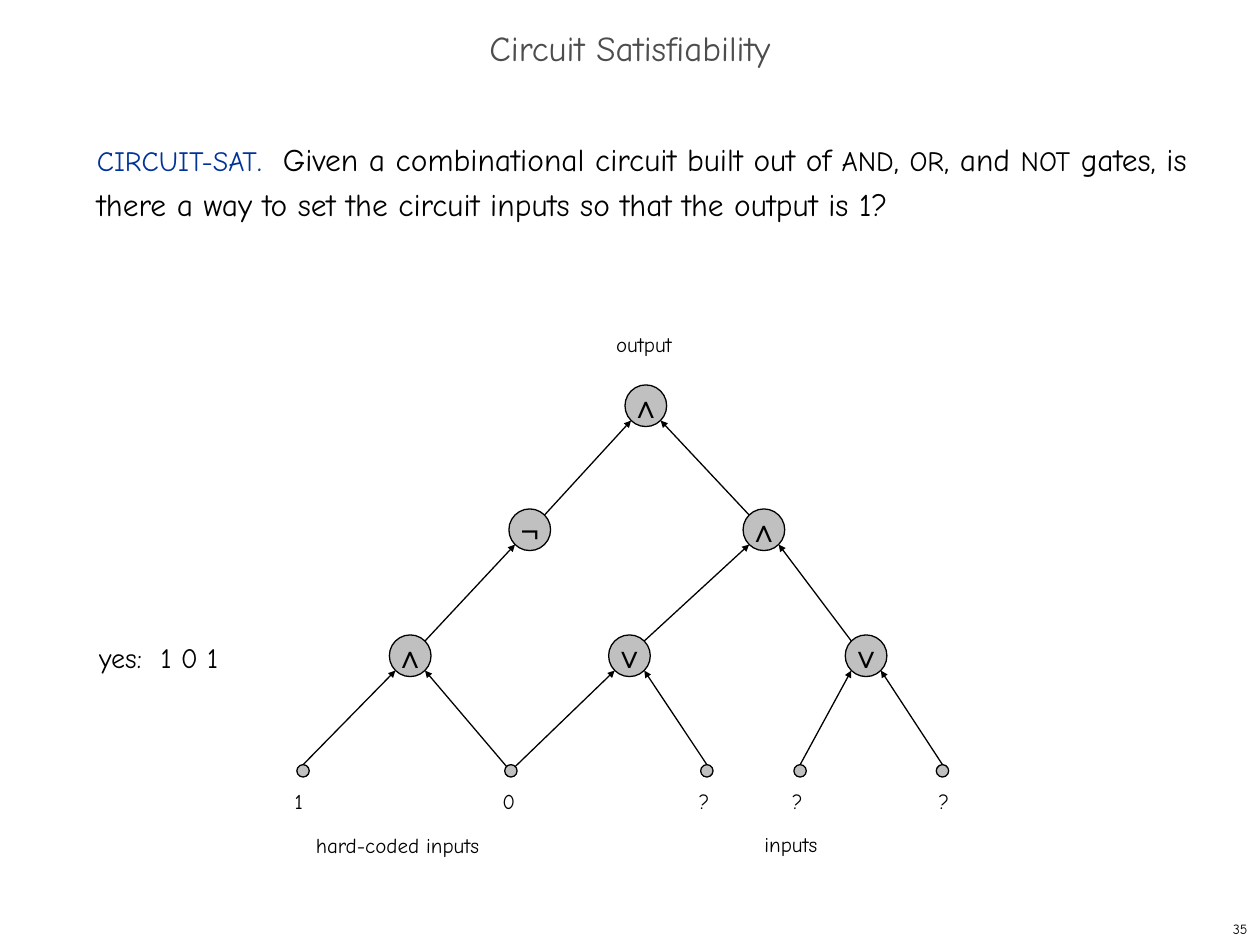
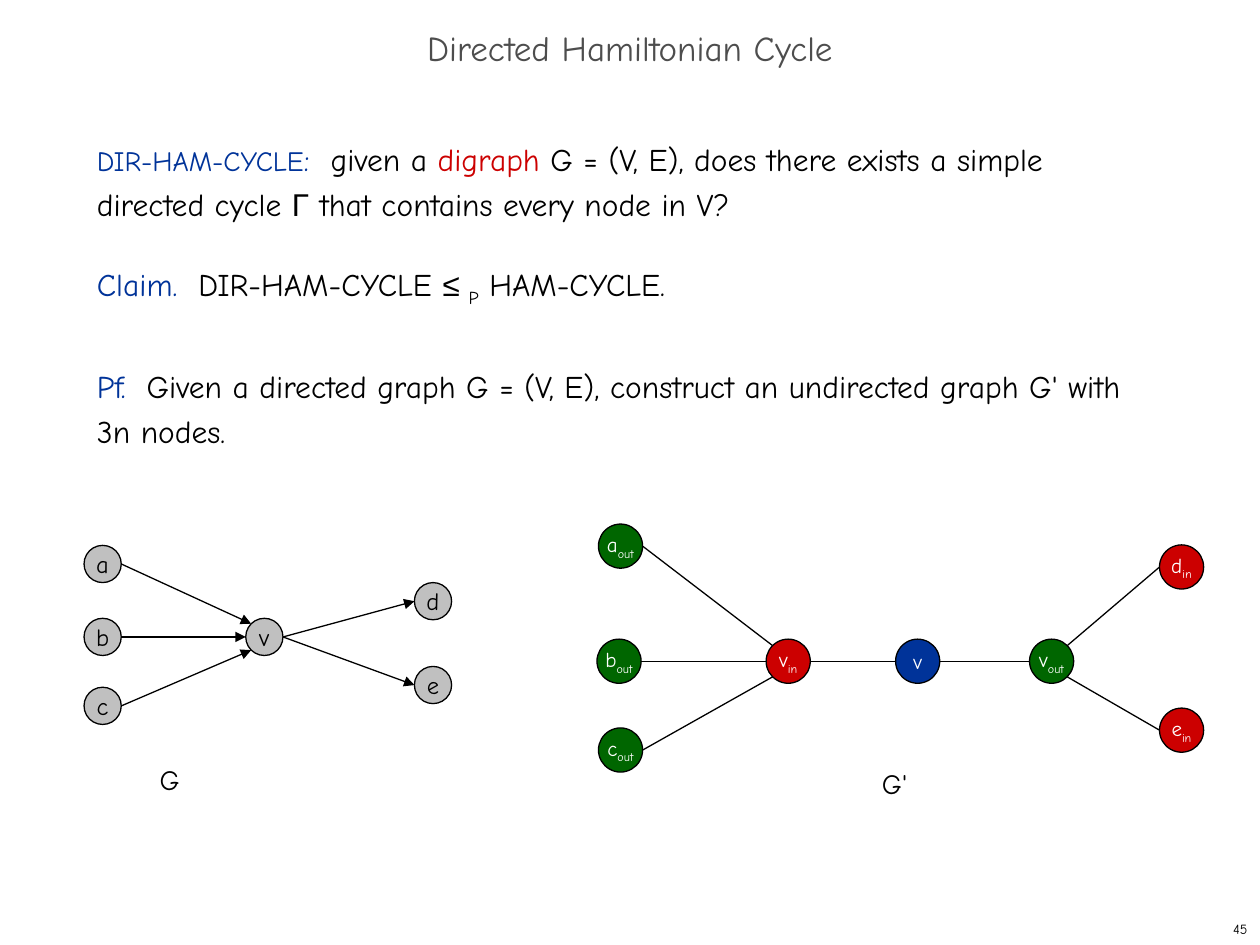
from dataclasses import dataclass

from lxml.etree import SubElement
from pptx import Presentation
from pptx.dml.color import RGBColor
from pptx.enum.shapes import MSO_CONNECTOR, MSO_SHAPE
from pptx.enum.text import MSO_ANCHOR, MSO_AUTO_SIZE, PP_ALIGN
from pptx.oxml.ns import qn
from pptx.util import Cm, Pt


@dataclass(frozen=True)
class Theme:
    font: str = "Comic Neue"
    symbols: str = "Arial"
    black: str = "000000"
    white: str = "FFFFFF"
    heading: str = "4D4D4D"
    gray: str = "C0C0C0"
    blue: str = "003399"
    red: str = "CC0000"
    green: str = "006600"
    title_size: int = 20
    body_size: int = 18
    term_size: int = 16
    node_size: int = 14
    label_size: int = 12
    number_size: int = 8
    body_leading: int = 26
    line: float = 0.75


theme = Theme()

SIDES = {
    "n": (0, -1), "ne": (0.71, -0.71), "e": (1, 0), "se": (0.71, 0.71),
    "s": (0, 1), "sw": (-0.71, 0.71), "w": (-1, 0), "nw": (-0.71, -0.71),
}


def write(box, paragraphs, size=theme.label_size, color=theme.black, font=theme.font,
          align=PP_ALIGN.LEFT, anchor=MSO_ANCHOR.TOP, wrap=False,
          fit=MSO_AUTO_SIZE.NONE, leading=None, gaps=(0,)):
    frame = box.text_frame
    frame.word_wrap = wrap
    frame.auto_size = fit
    frame.vertical_anchor = anchor
    for index, (spans, gap) in enumerate(zip(paragraphs, gaps)):
        paragraph = frame.add_paragraph() if index else frame.paragraphs[0]
        paragraph.alignment = align
        paragraph.space_before = Pt(gap)
        if leading:
            paragraph.line_spacing = leading
        for text, style in spans:
            span = paragraph.add_run()
            span.text = text
            span.font.size = Pt(style.get("size", size))
            span.font.name = style.get("font", font)
            span.font.color.rgb = RGBColor.from_string(style.get("color", color))
            if style.get("subscript"):
                span._r.get_or_add_rPr().set("baseline", "-25000")


def draw_graph(page, nodes, edges, arrow=None, **text_format):
    for start, start_side, end, end_side in edges:
        ends = []
        for name, side in ((start, start_side), (end, end_side)):
            x, y, diameter = nodes[name][:3]
            dx, dy = SIDES[side]
            ends += [Cm(x + dx * diameter / 2), Cm(y + dy * diameter / 2)]
        edge = page.shapes.add_connector(MSO_CONNECTOR.STRAIGHT, *ends)
        edge.line.color.rgb = RGBColor.from_string(theme.black)
        edge.line.width = Pt(theme.line)
        if arrow:
            SubElement(edge.line._get_or_add_ln(), qn("a:tailEnd"),
                       type="triangle", w=arrow, len=arrow)
        SubElement(edge._element.spPr, qn("a:effectLst"))
    for x, y, diameter, fill, spans in nodes.values():
        node = page.shapes.add_shape(
            MSO_SHAPE.OVAL, Cm(x - diameter / 2), Cm(y - diameter / 2),
            Cm(diameter), Cm(diameter))
        node.shadow.inherit = False
        node.fill.solid()
        node.fill.fore_color.rgb = RGBColor.from_string(fill)
        node.line.color.rgb = RGBColor.from_string(theme.black)
        node.line.width = Pt(theme.line)
        if spans:
            write(node, [spans], align=PP_ALIGN.CENTER, anchor=MSO_ANCHOR.MIDDLE,
                  **text_format)


term = {"size": theme.term_size}
blue = {"color": theme.blue}
red = {"color": theme.red}
symbol = {"font": theme.symbols}
subscript = {"subscript": True}

circuit_text = [[
    ("CIRCUIT-SAT", term | blue), (".  ", blue),
    ("Given a combinational circuit built out of ", {}),
    ("AND", term), (", ", {}), ("OR", term), (", and ", {}), ("NOT", term),
    (" gates, is there a way to set the circuit inputs so that the output is 1?", {}),
]]
cycle_text = [
    [("DIR-HAM-CYCLE", term | blue), (":  ", blue), ("given a ", {}), ("digraph", red),
     (" G = (V, E), does there exists a simple directed cycle ", {}), ("Γ", symbol),
     (" that contains every node in V?", {})],
    [("Claim.  ", blue), ("DIR-HAM-CYCLE ", {}), ("≤ ", symbol), ("P", subscript),
     (" HAM-CYCLE.", {})],
    [("Pf.  ", blue),
     ("Given a directed graph G = (V, E), construct an undirected graph G' with 3n nodes.",
      {})],
]

deck = Presentation()
deck.slide_width, deck.slide_height = Cm(25.4), Cm(19.05)

pages = []
for title, number, body_width, body_text, gaps in (
    ("Circuit Satisfiability", "35", 22.66, circuit_text, (0,)),
    ("Directed Hamiltonian Cycle", "45", 21.79, cycle_text, (0, 22.5, 29)),
):
    page = deck.slides.add_slide(deck.slide_layouts[1])
    pages.append(page)
    heading, body = page.placeholders
    heading.left, heading.top, heading.width, heading.height = Cm(0), Cm(0.43), Cm(25.4), Cm(1.27)
    write(heading, [[(title, {})]], size=theme.title_size, color=theme.heading,
          align=PP_ALIGN.CENTER, anchor=MSO_ANCHOR.MIDDLE, wrap=True, leading=0.7)
    body.left, body.top, body.width, body.height = Cm(1.7), Cm(2.54), Cm(body_width), Cm(15.04)
    write(body, body_text, size=theme.body_size, wrap=True,
          leading=Pt(theme.body_leading), gaps=gaps)
    for paragraph in body.text_frame.paragraphs:
        properties = paragraph._p.get_or_add_pPr()
        properties.set("marL", "0")
        properties.set("indent", "0")
        SubElement(properties, qn("a:buNone"))
    footer = page.shapes.add_textbox(Cm(20.12), Cm(18.42), Cm(5.28), Cm(0.63))
    write(footer, [[(number, {})]], size=theme.number_size,
          align=PP_ALIGN.RIGHT, anchor=MSO_ANCHOR.MIDDLE)

circuit_page, cycle_page = pages

circuit = {
    name: (x, y, 0.84, theme.gray, [(sign, {})])
    for name, x, y, sign in (
        ("root", 13.02, 8.18, "∧"),
        ("not", 10.68, 10.68, "¬"),
        ("and right", 15.4, 10.68, "∧"),
        ("and left", 8.27, 13.22, "∧"),
        ("or middle", 12.69, 13.22, "∨"),
        ("or right", 17.46, 13.22, "∨"),
    )
}
for index, x in enumerate((6.11, 10.3, 14.25, 16.13, 19)):
    circuit[index] = (x, 15.54, 0.25, theme.gray, None)
wires = [
    ("not", "ne", "root", "sw"), ("and right", "nw", "root", "se"),
    ("and left", "ne", "not", "sw"),
    ("or middle", "ne", "and right", "sw"), ("or right", "nw", "and right", "se"),
    (0, "n", "and left", "sw"), (1, "nw", "and left", "se"),
    (1, "ne", "or middle", "sw"), (2, "n", "or middle", "se"),
    (3, "n", "or right", "sw"), (4, "n", "or right", "se"),
]
draw_graph(circuit_page, circuit, wires, arrow="sm", size=theme.body_size, font=theme.symbols)

cycle_graph = {
    name: (x, y, 0.75, theme.gray, [(name, {})])
    for name, x, y in (
        ("a", 2.07, 11.37), ("b", 2.07, 12.84), ("c", 2.07, 14.23),
        ("v", 5.33, 12.84), ("d", 8.73, 12.12), ("e", 8.73, 13.81),
    )
}
arcs = [
    ("a", "e", "v", "nw"), ("b", "e", "v", "w"), ("c", "e", "v", "sw"),
    ("v", "e", "d", "w"), ("v", "e", "e", "w"),
]
draw_graph(cycle_page, cycle_graph, arcs, arrow="med", size=theme.node_size)

part_colors = {"in": theme.red, "out": theme.green, "": theme.blue}
split_graph = {
    name + part: (x, y, 0.89, part_colors[part],
                  [(name, {})] + ([(part, subscript)] if part else []))
    for name, part, x, y in (
        ("a", "out", 12.51, 11.01), ("b", "out", 12.48, 13.33), ("c", "out", 12.51, 15.12),
        ("v", "in", 15.89, 13.33), ("v", "", 18.5, 13.33), ("v", "out", 21.2, 13.33),
        ("d", "in", 23.82, 11.43), ("e", "in", 23.82, 14.72),
    )
}
links = [
    ("aout", "e", "vin", "nw"), ("bout", "e", "vin", "w"), ("cout", "e", "vin", "sw"),
    ("vin", "e", "v", "w"), ("v", "e", "vout", "w"),
    ("vout", "ne", "din", "w"), ("vout", "se", "ein", "w"),
]
draw_graph(cycle_page, split_graph, links, color=theme.white)

for page, text, left, top, width, height, size, wrap in (
    (circuit_page, "1", 5.69, 15.77, 0.69, 0.76, theme.label_size, False),
    (circuit_page, "0", 9.88, 15.77, 0.76, 0.76, theme.label_size, False),
    (circuit_page, "?", 13.84, 15.77, 0.74, 0.76, theme.label_size, False),
    (circuit_page, "?", 15.72, 15.77, 0.74, 0.76, theme.label_size, False),
    (circuit_page, "?", 18.67, 15.77, 0.74, 0.76, theme.label_size, False),
    (circuit_page, "output", 12.17, 6.55, 1.63, 0.76, theme.label_size, False),
    (circuit_page, "inputs", 15.16, 16.64, 1.57, 0.76, theme.label_size, False),
    (circuit_page, "hard-coded inputs", 6.12, 16.66, 3.81, 0.76, theme.label_size, False),
    (circuit_page, "yes:  1 0 1", 1.75, 12.78, 2.92, 0.94, theme.term_size, False),
    (cycle_page, "G", 2.97, 15.24, 2.54, 0.94, theme.term_size, True),
    (cycle_page, "G'", 17.53, 15.32, 2.54, 0.94, theme.term_size, True),
):
    label = page.shapes.add_textbox(Cm(left), Cm(top), Cm(width), Cm(height))
    write(label, [[(text, {})]], size=size, wrap=wrap, fit=MSO_AUTO_SIZE.SHAPE_TO_FIT_TEXT)

deck.save("out.pptx")
